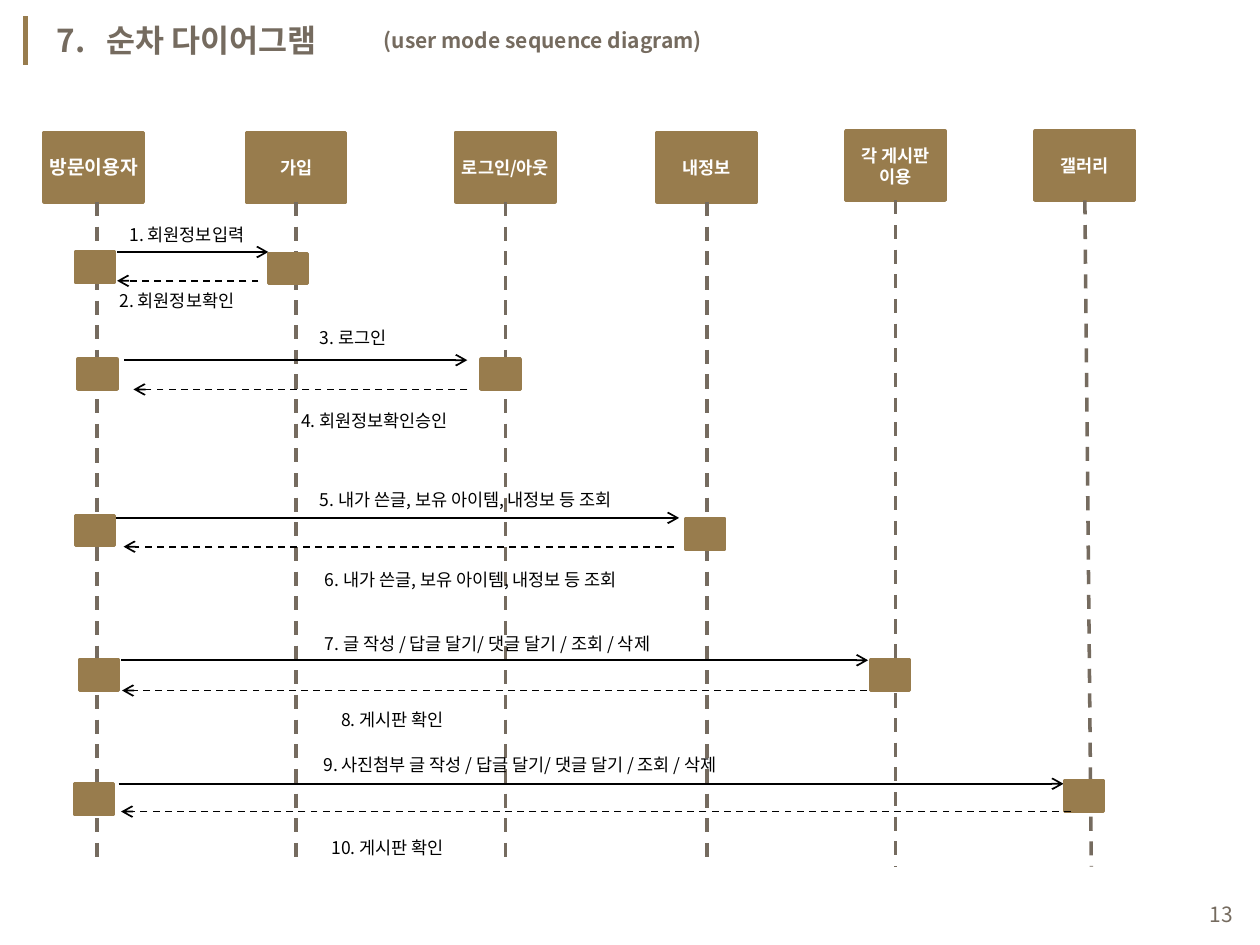
import pptx
import pptx.dml.color
import pptx.enum.dml
import pptx.enum.shapes
import pptx.enum.text
import pptx.oxml.ns
import pptx.util
import lxml.etree

Cm = pptx.util.Cm
Pt = pptx.util.Pt
FONT = "Noto Sans CJK KR"
BROWN, GREY, BLACK, WHITE = "987C4D", "756B5F", "000000", "FFFFFF"
HEAD_WIDTH, HEAD_HEIGHT = 2, 1.4
BAR_WIDTH, BAR_HEIGHT = 0.79, 0.61
LIFELINE_END = 17.47

# name, left, top, text size, x of the lifeline's foot
PARTICIPANTS = [
    ("방문이용자", 0.89, 2.67, 11, 1.96),
    ("가입", 4.97, 2.67, 10, 5.97),
    ("로그인/아웃", 9.19, 2.67, 10, 10.19),
    ("내정보", 13.25, 2.67, 10, 14.25),
    ("각 게시판\n이용", 17.05, 2.64, 10, 18.05),
    ("갤러리", 20.87, 2.64, 10, 22),
]

# request (x1, x2, y), reply (x1, x2, y), caller bar, receiver bar
EXCHANGES = [
    ((2.36, 5.41, 5.08), (5.21, 2.36, 5.66), (1.52, 5.08), (5.41, 5.11)),
    ((2.51, 9.42, 7.26), (9.42, 2.69, 7.85), (1.57, 7.24), (9.7, 7.24)),
    ((2.06, 13.69, 10.44), (13.59, 2.49, 11.02), (1.52, 10.39), (13.82, 10.46)),
    ((2.44, 17.5, 13.31), (17.48, 2.46, 13.92), (1.6, 13.31), (17.55, 13.31)),
    ((2.39, 21.44, 15.8), (21.59, 2.44, 16.36), (1.5, 15.8), (21.46, 15.75)),
]

# text, left, top, width
MESSAGES = [
    ("1. 회원정보입력", 2.36, 4.39, 3.05),
    ("2. 회원정보확인", 2.16, 5.72, 3.05),
    ("3. 로그인", 6.2, 6.45, 1.98),
    ("4. 회원정보확인승인", 5.82, 8.13, 3.76),
    ("5. 내가 쓴글, 보유 아이템, 내정보 등 조회", 6.2, 9.73, 7.37),
    ("6. 내가 쓴글, 보유 아이템, 내정보 등 조회", 6.3, 11.33, 7.16),
    ("7. 글 작성 / 답글 달기/ 댓글 달기 / 조회 / 삭제", 6.3, 12.62, 8.08),
    ("8. 게시판 확인", 6.63, 14.17, 2.82),
    ("9. 사진첨부 글 작성 / 답글 달기/ 댓글 달기 / 조회 / 삭제", 6.27, 15.06, 9.63),
    ("10. 게시판 확인", 6.43, 16.74, 3.02),
]


def color(value):
    """Turn a hex string into a colour."""
    return pptx.dml.color.RGBColor.from_string(value)


def add_element(parent, tag, **attributes):
    """Append a drawing element to a parent and return it."""
    return lxml.etree.SubElement(parent, pptx.oxml.ns.qn(tag), attributes)


def write(frame, text, size, hue, bold=False, align="LEFT", tab=None):
    """Fill a text frame and format all its runs."""
    frame.text = text
    for para in frame.paragraphs:
        para.alignment = getattr(pptx.enum.text.PP_ALIGN, align)
        if tab:
            stops = add_element(para._p.get_or_add_pPr(), "a:tabLst")
            add_element(stops, "a:tab", pos=str(Cm(tab)), algn="l")
        for span in para.runs:
            span.font.size = Pt(size)
            span.font.bold = bold
            span.font.color.rgb = color(hue)
            span.font.name = FONT
            add_element(span.font._element, "a:ea", typeface=FONT)


def add_text(page, text, left, top, width, height, size, hue, wrap=True, **style):
    """Add a text box, centred vertically."""
    box = page.shapes.add_textbox(Cm(left), Cm(top), Cm(width), Cm(height))
    frame = box.text_frame
    frame.word_wrap = wrap
    frame.vertical_anchor = pptx.enum.text.MSO_ANCHOR.MIDDLE
    write(frame, text, size, hue, **style)


def add_block(page, left, top, width, height, text="", size=10):
    """Add a brown rectangle, with a white label if one is given."""
    block = page.shapes.add_shape(
        pptx.enum.shapes.MSO_SHAPE.RECTANGLE, Cm(left), Cm(top), Cm(width), Cm(height))
    block.shadow.inherit = False
    block.fill.solid()
    block.fill.fore_color.rgb = color(BROWN)
    block.line.color.rgb = color(BROWN)
    block.line.width = Pt(2)
    if text:
        frame = block.text_frame
        frame.margin_left = frame.margin_right = frame.margin_top = frame.margin_bottom = 0
        frame.vertical_anchor = pptx.enum.text.MSO_ANCHOR.MIDDLE
        write(frame, text, size, WHITE, bold=True, align="CENTER")
    return block


def add_line(page, x1, y1, x2, y2, hue, width, dashed=False, arrow=False):
    """Add a straight connector, optionally dashed or with an arrowhead."""
    line = page.shapes.add_connector(
        pptx.enum.shapes.MSO_CONNECTOR.STRAIGHT, Cm(x1), Cm(y1), Cm(x2), Cm(y2))
    line.line.color.rgb = color(hue)
    line.line.width = Pt(width)
    if dashed:
        line.line.dash_style = pptx.enum.dml.MSO_LINE.DASH
    if arrow:
        add_element(line.line._get_or_add_ln(), "a:tailEnd", type="arrow")
    add_element(line._element.spPr, "a:effectLst")
    return line


def add_participant(page, name, left, top, size, foot):
    """Add a participant's header and the lifeline below it."""
    header = add_block(page, left, top, HEAD_WIDTH, HEAD_HEIGHT, name, size)
    lifeline = add_line(page, foot, top + HEAD_HEIGHT, foot, LIFELINE_END, GREY, 2, dashed=True)
    if foot - left - HEAD_WIDTH / 2 >= 0.1 or name != PARTICIPANTS[0][0]:
        lifeline.begin_connect(header, 2)


def add_exchange(page, request, reply, caller, receiver):
    """Add a request, its two activation bars and the dashed reply."""
    start, end, y = request
    add_line(page, start, y, end, y, BLACK, 1, arrow=True)
    for left, top in (caller, receiver):
        add_block(page, left, top, BAR_WIDTH, BAR_HEIGHT)
    start, end, y = reply
    add_line(page, start, y, end, y, BLACK, 1, dashed=True, arrow=True)


def main():
    """Build the sequence diagram slide."""
    deck = pptx.Presentation()
    deck.slide_width, deck.slide_height = Cm(25.4), Cm(19.05)
    page = deck.slides.add_slide(deck.slide_layouts[6])

    add_line(page, 0.51, 0.33, 0.51, 1.32, BROWN, 3)
    add_text(page, "7.\t순차 다이어그램", 0.89, 0.3, 8.15, 1.02, 18, GREY, bold=True, tab=1.01)
    add_text(page, "(user mode sequence diagram)", 7.49, 0.43, 8, 0.76, 12, GREY, bold=True)
    for participant in PARTICIPANTS:
        add_participant(page, *participant)
    for exchange in EXCHANGES:
        add_exchange(page, *exchange)
    for text, left, top, width in MESSAGES:
        add_text(page, text, left, top, width, 0.69, 10, BLACK, wrap=False)
    add_text(page, "13", 19.18, 17.91, 5.92, 1.02, 12, GREY, align="RIGHT")
    deck.save("out.pptx")


if __name__ == "__main__":
    main()
